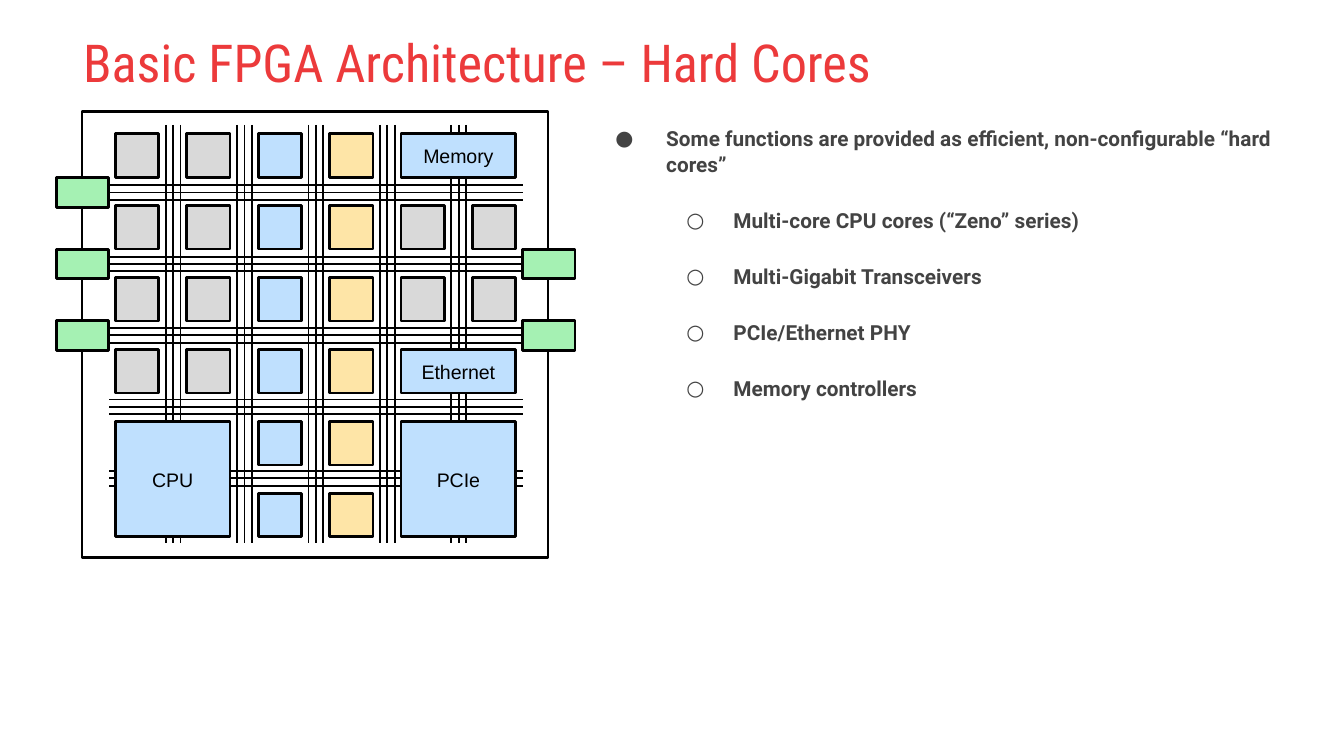
"""Build the slide on hard cores in a basic FPGA."""
from lxml.etree import SubElement
from pptx import Presentation
from pptx.dml.color import RGBColor
from pptx.enum.shapes import MSO_CONNECTOR, MSO_SHAPE
from pptx.enum.text import MSO_ANCHOR, MSO_AUTO_SIZE, PP_ALIGN
from pptx.oxml.ns import qn
from pptx.util import Cm, Pt

COLORS = {
    "title": "EC3A3B", "text": "434343", "black": "000000", "white": "FFFFFF",
    "grey": "D9D9D9", "blue": "BFE0FE", "sand": "FEE5A7", "green": "A5F1B3",
}
LEFT, TOP = 2.18, 2.53
STEP_X, STEP_Y = 1.35, 1.36
CELL = 0.82
BUS_X, BUS_Y = (2.06, 9.88), (2.36, 10.26)
PAD_W, PAD_H = 0.99, 0.56
FILLS = ["grey", "grey", "blue", "sand", "grey", "grey"]
CORES = [("CPU", 0, 4, 2), ("PCIe", 4, 4, 2), ("Ethernet", 4, 3, 1), ("Memory", 4, 0, 1)]
POINTS = [
    (0, "Some functions are provided as efficient, non-configurable “hard cores”"),
    (1, "Multi-core CPU cores (“Zeno” series)"),
    (1, "Multi-Gigabit Transceivers"),
    (1, "PCIe/Ethernet PHY"),
    (1, "Memory controllers"),
]
BULLETS = [("●", 1.27, -0.96), ("○", 2.54, -0.89)]


def tint(name):
    return RGBColor.from_string(COLORS[name])


class Deck:
    def __init__(self):
        self.show = Presentation()
        self.show.slide_width, self.show.slide_height = Cm(25.4), Cm(14.29)
        self.slide = self.show.slides.add_slide(self.show.slide_layouts[1])

    def style(self, para, font, size, color, bold=False):
        for run in para.runs:
            run.font.name, run.font.size, run.font.bold = font, Pt(size), bold
            run.font.color.rgb = tint(color)

    def place(self, holder, x, y, w, h, anchor):
        holder.left, holder.top, holder.width, holder.height = Cm(x), Cm(y), Cm(w), Cm(h)
        frame = holder.text_frame
        frame.margin_left = frame.margin_right = Cm(0.25)
        frame.margin_top = frame.margin_bottom = Cm(0.25)
        frame.word_wrap, frame.auto_size = True, MSO_AUTO_SIZE.NONE
        frame.vertical_anchor = anchor
        return frame

    def title(self, text, x, y, w, h):
        frame = self.place(self.slide.shapes.title, x, y, w, h, MSO_ANCHOR.MIDDLE)
        frame.text = text
        frame.paragraphs[0].alignment = PP_ALIGN.LEFT
        self.style(frame.paragraphs[0], "Roboto Condensed", 28, "title")

    def bullet(self, para, mark, margin, indent):
        props = para._p.get_or_add_pPr()
        props.set("marL", str(Cm(margin)))
        props.set("indent", str(Cm(indent)))
        color = SubElement(props, qn("a:buClr"))
        SubElement(color, qn("a:srgbClr")).set("val", COLORS["text"])
        SubElement(props, qn("a:buFont")).set("typeface", "Roboto")
        SubElement(props, qn("a:buChar")).set("char", mark)

    def body(self, points, x, y, w, h):
        frame = self.place(self.slide.placeholders[1], x, y, w, h, MSO_ANCHOR.TOP)
        frame.text = "\n".join(text for _, text in points)
        for para, (level, _) in zip(frame.paragraphs, points):
            para.level = level
            self.bullet(para, *BULLETS[level])
            para.line_spacing = 1.05
            para.space_before = Pt(16 * level)
            self.style(para, "Roboto", 11.1, "text", True)

    def box(self, x, y, w, h, fill, text=""):
        shape = self.slide.shapes.add_shape(MSO_SHAPE.RECTANGLE, Cm(x), Cm(y), Cm(w), Cm(h))
        shape.shadow.inherit = False
        shape.fill.solid()
        shape.fill.fore_color.rgb = tint(fill)
        shape.line.color.rgb, shape.line.width = tint("black"), Pt(1.5)
        if text:
            frame = shape.text_frame
            frame.text = text
            frame.vertical_anchor = MSO_ANCHOR.MIDDLE
            frame.paragraphs[0].alignment = PP_ALIGN.CENTER
            self.style(frame.paragraphs[0], "Arial", 10.5, "black")
        return shape

    def wire(self, x1, y1, x2, y2):
        line = self.slide.shapes.add_connector(
            MSO_CONNECTOR.STRAIGHT, Cm(x1), Cm(y1), Cm(x2), Cm(y2))
        line.line.color.rgb, line.line.width = tint("black"), Pt(1)
        SubElement(line._element.spPr, qn("a:effectLst"))
        return line


def main():
    deck = Deck()
    deck.title("Basic FPGA Architecture – Hard Cores", 1.32, 0.48, 21.46, 1.35)
    deck.body(POINTS, 11.07, 2.11, 13.26, 5.94)
    deck.box(1.55, 2.11, 8.81, 8.43, "white")

    taken = {(col + i, row + j) for _, col, row, rows in CORES
             for i in range(2) for j in range(rows)}
    for col, fill in enumerate(FILLS):
        for row in range(6):
            if (col, row) not in taken:
                deck.box(LEFT + col * STEP_X, TOP + row * STEP_Y, CELL, CELL, fill)

    buses = []
    for i in range(5):
        x, y = 3.27 + i * STEP_X, 3.64 + i * STEP_X
        for gap in (-0.14, 0, 0.14):
            deck.wire(x + gap, BUS_Y[0], x + gap, BUS_Y[1])
            line = deck.wire(BUS_X[0], y + gap, BUS_X[1], y + gap)
            if gap == 0:
                buses.append((y, line))

    for i, (y, line) in enumerate(buses[:3]):
        pad = deck.box(BUS_X[0] - PAD_W, y - PAD_H / 2, PAD_W, PAD_H, "green")
        line.begin_connect(pad, 3)
        if i > 0:
            pad = deck.box(BUS_X[1], y - PAD_H / 2, PAD_W, PAD_H, "green")
            line.end_connect(pad, 1)

    for text, col, row, rows in CORES:
        deck.box(LEFT + col * STEP_X, TOP + row * STEP_Y, STEP_X + CELL,
                 (rows - 1) * STEP_Y + CELL, "blue", text)
    deck.show.save("out.pptx")


if __name__ == "__main__":
    main()
